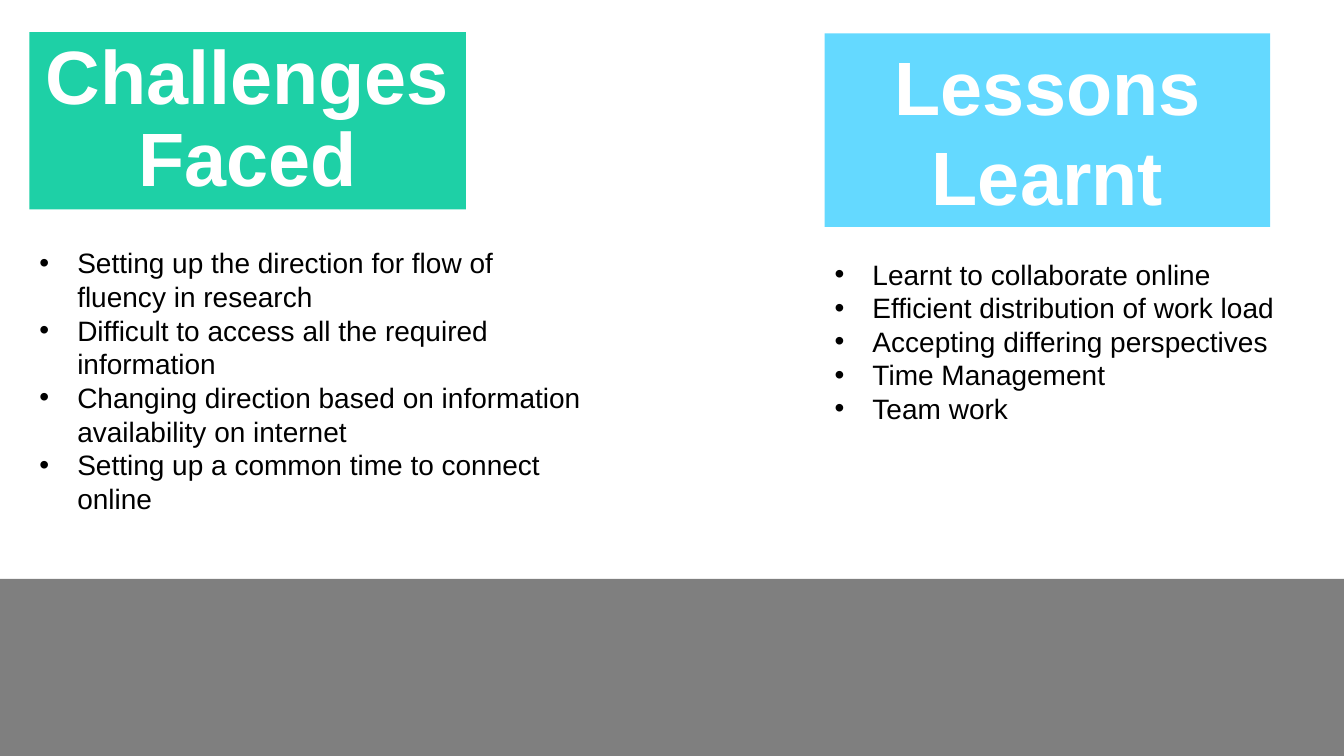
from lxml import etree
from pptx import Presentation
from pptx.dml.color import RGBColor
from pptx.enum.shapes import MSO_SHAPE as Preset
from pptx.enum.text import MSO_ANCHOR as Anchor, MSO_AUTO_SIZE as AutoSize, PP_ALIGN as Align
from pptx.oxml.ns import qn
from pptx.util import Cm, Pt

GREEN = RGBColor(0x1E, 0xD0, 0xA6)
BLUE = RGBColor(0x64, 0xD9, 0xFF)
WHITE = RGBColor(0xFF, 0xFF, 0xFF)
BLACK = RGBColor(0, 0, 0)
FONT = "Arial"
SLIDE_WIDTH, SLIDE_HEIGHT = 33.87, 19.05
BAND_HEIGHT = 4.46

COLUMNS = [
    {
        "heading": ["Challenges", "Faced"],
        "heading_box": (0.74, 0.81, 11, 4.47),
        "heading_spacing": 0.9,
        "color": GREEN,
        "points": [
            "Setting up the direction for flow of fluency in research",
            "Difficult to access all the required information",
            "Changing direction based on information availability on internet",
            "Setting up a common time to connect online",
        ],
        "points_box": (0.74, 6.07, 14.17, 7.09),
        "placeholders": (0, 2),
    },
    {
        "heading": ["Lessons Learnt"],
        "heading_box": (20.78, 0.84, 11.23, 4.88),
        "heading_spacing": 1.0,
        "color": BLUE,
        "points": [
            "Learnt to collaborate online",
            "Efficient distribution of work load",
            "Accepting differing perspectives",
            "Time Management",
            "Team work",
        ],
        "points_box": (20.78, 6.35, 12.01, 5.38),
        "placeholders": (3, 4),
    },
]


def place(part, box):
    part.left, part.top, part.width, part.height = (Cm(length) for length in box)


def write(part, lines, size, color, bold, align, anchor, spacing):
    frame = part.text_frame
    frame.word_wrap = True
    frame.auto_size = AutoSize.NONE
    frame.vertical_anchor = anchor
    for number, line in enumerate(lines):
        paragraph = frame.add_paragraph() if number else frame.paragraphs[0]
        paragraph.alignment = align
        paragraph.line_spacing = spacing
        paragraph.space_before = Pt(0)
        run = paragraph.add_run()
        run.text = line
        run.font.name = FONT
        run.font.size = Pt(size)
        run.font.bold = bold
        run.font.color.rgb = color


def add_band(slide):
    band = slide.shapes.add_shape(
        Preset.RECTANGLE, 0, Cm(SLIDE_HEIGHT - BAND_HEIGHT), Cm(SLIDE_WIDTH), Cm(BAND_HEIGHT)
    )
    band.shadow.inherit = False
    band.line.fill.background()
    band.fill.solid()
    band.fill.fore_color.rgb = BLACK
    tint = band.fill._xPr.find(qn("a:solidFill"))[0]
    etree.SubElement(tint, qn("a:alpha")).set("val", "50000")


def main():
    deck = Presentation()
    deck.slide_width, deck.slide_height = Cm(SLIDE_WIDTH), Cm(SLIDE_HEIGHT)
    slide = deck.slides.add_slide(deck.slide_layouts.get_by_name("Comparison"))
    slots = {slot.placeholder_format.idx: slot for slot in slide.placeholders}

    add_band(slide)
    for column in COLUMNS:
        heading, points = (slots.pop(idx) for idx in column["placeholders"])
        place(heading, column["heading_box"])
        heading.fill.solid()
        heading.fill.fore_color.rgb = column["color"]
        write(heading, column["heading"], 54, WHITE, True, Align.CENTER, Anchor.MIDDLE,
              column["heading_spacing"])
        place(points, column["points_box"])
        write(points, column["points"], 20, BLACK, False, Align.LEFT, Anchor.TOP, 1.0)

    for unused in slots.values():
        unused.element.getparent().remove(unused.element)
    deck.save("out.pptx")


if __name__ == "__main__":
    main()
